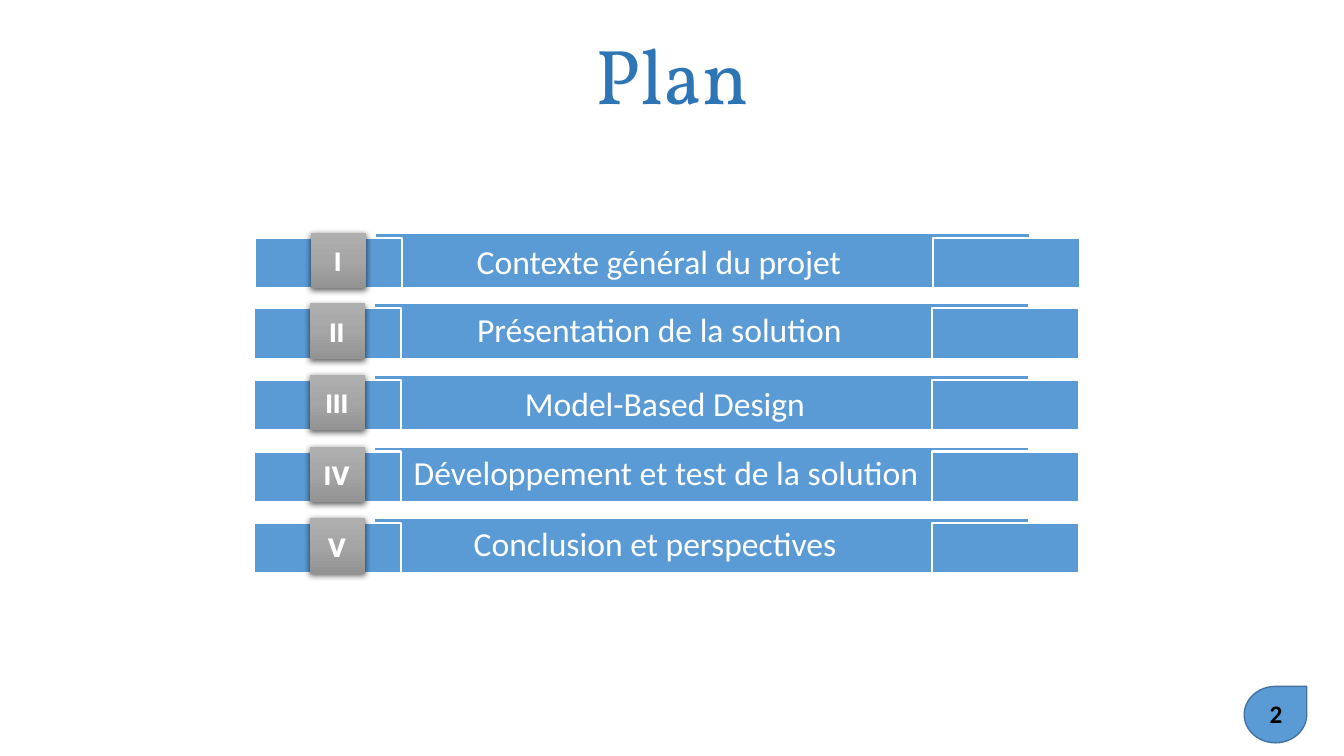
from dataclasses import dataclass
from typing import NamedTuple

from pptx import Presentation
from pptx.dml.color import RGBColor
from pptx.enum.shapes import MSO_SHAPE
from pptx.enum.text import MSO_ANCHOR, MSO_AUTO_SIZE, PP_ALIGN
from pptx.oxml import parse_xml
from pptx.oxml.ns import nsdecls, qn
from pptx.util import Emu, Pt

PX = 9144  # one px is a hundredth of an inch


@dataclass(frozen=True)
class Theme:
    blue: str = "5B9BD5"
    edge: str = "43739E"
    head: str = "2E75B6"
    white: str = "FFFFFF"
    black: str = "000000"
    greys: tuple = ((0, "AFAFAF"), (50, "A5A5A5"), (100, "939393"))
    title: float = 55.5
    label: float = 24
    mark: float = 20
    page: float = 18
    body: str = "Calibri"
    serif: str = "Vollkorn"
    badge: str = "League Spartan"


class Box(NamedTuple):
    x: int
    y: int
    w: int
    h: int


class Style(NamedTuple):
    font: str
    size: float
    color: str
    bold: bool = False


class Row(NamedTuple):
    mark: str
    text: str
    left: int
    width: int
    drop: int  # label top below the row top
    nudge: int = 0


THEME = Theme()
TOP, STEP = 301, 71  # top of the second row, row pitch
ROWS = (
    Row("I", "Contexte général du projet", 461, 385, 3, 1),
    Row("II", "Présentation de la solution", 461, 386, 1),
    Row("III", "Model-Based Design", 509, 301, 3),
    Row("IV", "Développement et test de la solution", 398, 525, 0),
    Row("V", "Conclusion et perspectives ", 458, 391, 0),
)


def emu(box: Box) -> list:
    return [Emu(n * PX) for n in box]


def write(shape, text: str, style: Style):
    para = shape.text_frame.paragraphs[0]
    para.alignment = PP_ALIGN.CENTER
    run = para.add_run()
    run.text = text
    run.font.name = style.font
    run.font.size = Pt(style.size)
    run.font.bold = style.bold
    run.font.color.rgb = RGBColor.from_string(style.color)
    return para


def label(slide, box: Box, text: str, style: Style, wrap: bool = True):
    shape = slide.shapes.add_textbox(*emu(box))
    shape.text_frame.word_wrap = wrap
    shape.text_frame.auto_size = MSO_AUTO_SIZE.SHAPE_TO_FIT_TEXT
    write(shape, text, style)


def block(slide, box: Box, line: str, width: float, kind=MSO_SHAPE.RECTANGLE):
    shape = slide.shapes.add_shape(kind, *emu(box))
    shape.shadow.inherit = False
    shape.fill.solid()
    shape.fill.fore_color.rgb = RGBColor.from_string(THEME.blue)
    shape.line.color.rgb = RGBColor.from_string(line)
    shape.line.width = Pt(width)


def badge(slide, box: Box, text: str):
    shape = slide.shapes.add_shape(MSO_SHAPE.RECTANGLE, *emu(box))
    shape.fill.background()
    shape.line.fill.background()
    shape.shadow.inherit = False
    props = shape._element.spPr
    # Grey gradient
    stops = "".join(
        f'<a:gs pos="{pos * 1000}"><a:srgbClr val="{color}"/></a:gs>'
        for pos, color in THEME.greys
    )
    props.replace(props.find(qn("a:noFill")), parse_xml(
        f'<a:gradFill {nsdecls("a")}><a:gsLst>{stops}</a:gsLst>'
        '<a:lin ang="5400000" scaled="0"/></a:gradFill>'
    ))
    # Soft shadow below
    props.find(qn("a:effectLst")).append(parse_xml(
        f'<a:outerShdw {nsdecls("a")} blurRad="{Pt(4.5)}" dist="{Pt(1.5)}" '
        f'dir="5400000" rotWithShape="0"><a:srgbClr val="{THEME.black}">'
        '<a:alpha val="63000"/></a:srgbClr></a:outerShdw>'
    ))
    shape.text_frame.word_wrap = False
    shape.text_frame.vertical_anchor = MSO_ANCHOR.MIDDLE
    write(shape, text, Style(THEME.badge, THEME.mark, THEME.white, True))


def draw_row(slide, row: Row, rank: int):
    top = TOP + STEP * (rank - 1) + row.nudge
    left = 252 + row.nudge
    # Wide band, then a tab at each end
    block(slide, Box(left + 119, top, 650, 55), THEME.white, 1.5)
    for x in (left, left + 672):
        block(slide, Box(x, top + 5, 146, 50), THEME.white, 1.5)
    badge(slide, Box(left + 55, top, 55, 55), row.mark)
    label(slide, Box(row.left, top + row.drop, row.width, 50), row.text,
          Style(THEME.body, THEME.label, THEME.white), wrap=False)


def main():
    deck = Presentation()
    deck.slide_width, deck.slide_height = Emu(1333 * PX), Emu(750 * PX)
    slide = deck.slides.add_slide(deck.slide_layouts[6])

    # Title
    title = slide.shapes.add_textbox(*emu(Box(0, 38, 1333, 85)))
    title.text_frame.word_wrap = True
    title.text_frame.vertical_anchor = MSO_ANCHOR.BOTTOM
    para = write(title, "Plan", Style(THEME.serif, THEME.title, THEME.head))
    para.line_spacing = 0.8

    # Page number
    block(slide, Box(1234, 681, 62, 56), THEME.edge, 1, MSO_SHAPE.TEAR)
    label(slide, Box(1234, 688, 63, 40), "2",
          Style(THEME.body, THEME.page, THEME.black, True))

    # Plan rows
    for rank, row in enumerate(ROWS):
        draw_row(slide, row, rank)

    deck.save("out.pptx")


if __name__ == "__main__":
    main()
